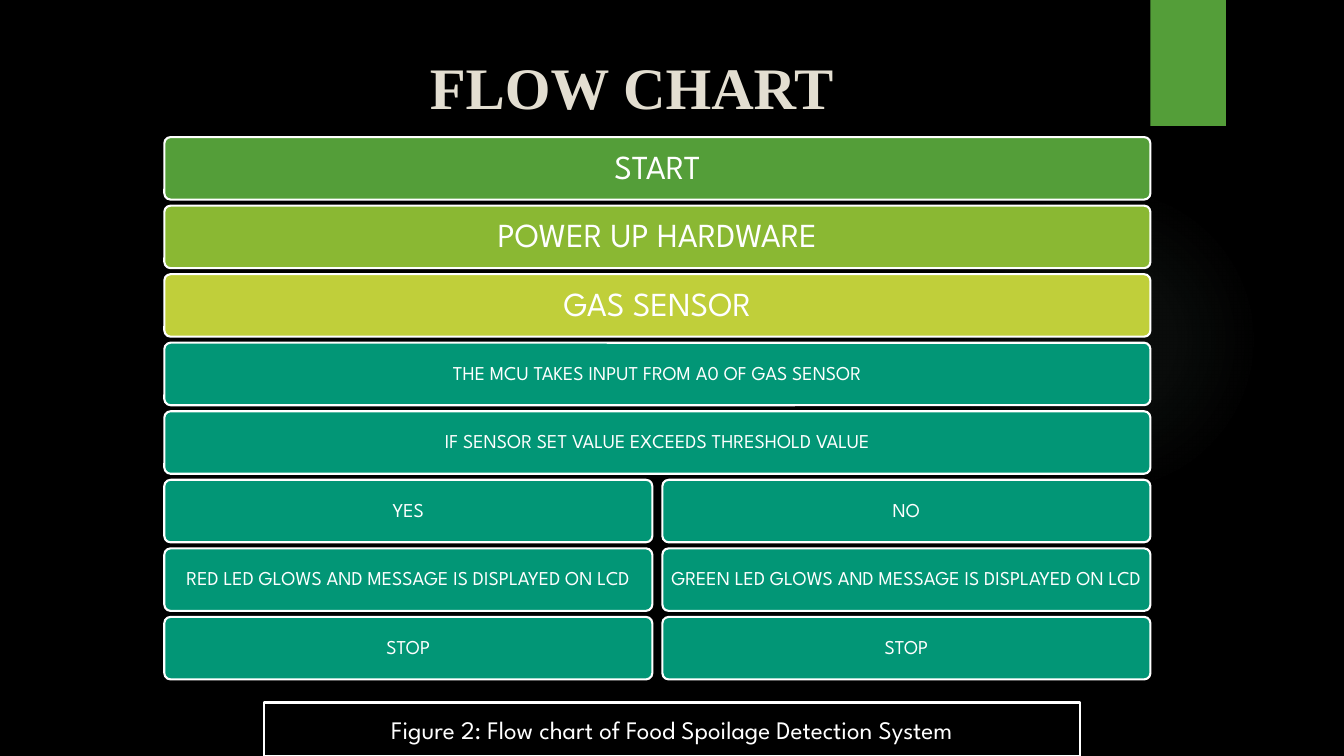
from dataclasses import dataclass

from pptx import Presentation
from pptx.dml.color import RGBColor
from pptx.enum.shapes import MSO_SHAPE
from pptx.enum.text import MSO_ANCHOR, PP_ALIGN
from pptx.oxml import parse_xml
from pptx.oxml.ns import nsdecls, qn
from pptx.util import Emu, Pt

SCALE = 9144  # EMU in one px, 100 px to the inch


@dataclass(frozen=True)
class Theme:
    back: str = "000000"
    white: str = "FFFFFF"
    cream: str = "E3DED1"
    green: str = "549E39"
    lime: str = "8AB833"
    yellow: str = "C0CF3A"
    teal: str = "029676"
    glow: str = "87A896"
    serif: str = "Times New Roman"
    sans: str = "League Spartan"
    title: int = 42
    large: int = 24
    figure: int = 18
    small: int = 14
    border: float = 1.5


THEME = Theme()

# Chart grid
LEFT, TOP, WIDTH, HEIGHT = 163, 136, 978, 62
PITCH, GUTTER = 68, 10

# Each row: labels side by side, fill, type size
ROWS = [
    (["START"], THEME.green, THEME.large),
    (["POWER UP HARDWARE"], THEME.lime, THEME.large),
    (["GAS SENSOR"], THEME.yellow, THEME.large),
    (["THE MCU TAKES INPUT FROM A0 OF GAS SENSOR"], THEME.teal, THEME.small),
    (["IF SENSOR SET VALUE EXCEEDS THRESHOLD VALUE"], THEME.teal, THEME.small),
    (["YES", "NO"], THEME.teal, THEME.small),
    (["RED LED GLOWS AND MESSAGE IS DISPLAYED ON LCD",
      "GREEN LED GLOWS AND MESSAGE IS DISPLAYED ON LCD"], THEME.teal, THEME.small),
    (["STOP", "STOP"], THEME.teal, THEME.small),
]


def px(n):
    return Emu(round(n * SCALE))


def color(code):
    return RGBColor.from_string(code)


def write(shape, text, font, size, code, bold=False):
    """Put one centred line of text in a shape."""
    frame = shape.text_frame
    frame.text = text
    frame.word_wrap = True
    frame.vertical_anchor = MSO_ANCHOR.MIDDLE
    line = frame.paragraphs[0]
    line.alignment = PP_ALIGN.CENTER
    face = line.runs[0].font
    face.name, face.size, face.bold = font, Pt(size), bold
    face.color.rgb = color(code)
    return frame


def add_box(slide, kind, box, fill=None, border=None):
    """Add a flat shape with an optional fill and border."""
    shape = slide.shapes.add_shape(kind, *map(px, box))
    shape.shadow.inherit = False
    if fill:
        shape.fill.solid()
        shape.fill.fore_color.rgb = color(fill)
    else:
        shape.fill.background()
    if border:
        shape.line.color.rgb = color(border)
        shape.line.width = Pt(THEME.border)
    else:
        shape.line.fill.background()
    return shape


def add_glow(slide, box):
    """Add a faint radial glow."""
    shape = add_box(slide, MSO_SHAPE.OVAL, box)
    stops = "".join(
        f'<a:gs pos="{pos * 1000}"><a:srgbClr val="{THEME.glow}">'
        f'<a:alpha val="{alpha * 1000}"/></a:srgbClr></a:gs>'
        for pos, alpha in [(0, 7), (36, 6), (69, 0), (100, 0)]
    )
    grad = parse_xml(
        f'<a:gradFill {nsdecls("a")}><a:gsLst>{stops}</a:gsLst><a:path path="circle">'
        '<a:fillToRect l="50000" t="50000" r="50000" b="50000"/></a:path></a:gradFill>'
    )
    props = shape._element.spPr
    props.replace(props.find(qn("a:noFill")), grad)


def add_step(slide, box, text, fill, size):
    """Add one rounded step of the flow chart."""
    shape = add_box(slide, MSO_SHAPE.ROUNDED_RECTANGLE, box, fill, THEME.white)
    shape.adjustments[0] = 0.1
    frame = write(shape, text, THEME.sans, size, THEME.white)
    frame.paragraphs[0].line_spacing = 0.9
    inset = px(10 if size == THEME.large else 6)
    frame.margin_left = frame.margin_right = inset
    frame.margin_top = frame.margin_bottom = inset


def add_chart_rows(slide):
    """Stack the rows and split each one evenly among its labels."""
    for row, (labels, fill, size) in enumerate(ROWS):
        count = len(labels)
        wide = (WIDTH - GUTTER * (count - 1)) // count
        for col, text in enumerate(labels):
            box = (LEFT + col * (wide + GUTTER), TOP + row * PITCH, wide, HEIGHT)
            add_step(slide, box, text, fill, size)


def add_title(slide, box, text):
    title = slide.shapes.title
    title.left, title.top, title.width, title.height = map(px, box)
    write(title, text, THEME.serif, THEME.title, THEME.cream, bold=True)


def main():
    deck = Presentation()
    deck.slide_width, deck.slide_height = px(1333), px(750)
    slide = deck.slides.add_slide(deck.slide_layouts[5])

    # Backdrop
    slide.background.fill.solid()
    slide.background.fill.fore_color.rgb = color(THEME.back)
    add_glow(slide, (941, 183, 308, 308))
    add_box(slide, MSO_SHAPE.RECTANGLE, (1141, 0, 75, 125), THEME.green)

    # Title and flow chart
    add_title(slide, (112, 9, 1029, 153), "FLOW CHART")
    add_chart_rows(slide)

    # Caption
    caption = add_box(slide, MSO_SHAPE.RECTANGLE, (262, 697, 809, 53), border=THEME.white)
    write(caption, "Figure 2: Flow chart of Food Spoilage Detection System",
          THEME.sans, THEME.figure, THEME.white)

    deck.save("out.pptx")


if __name__ == "__main__":
    main()
